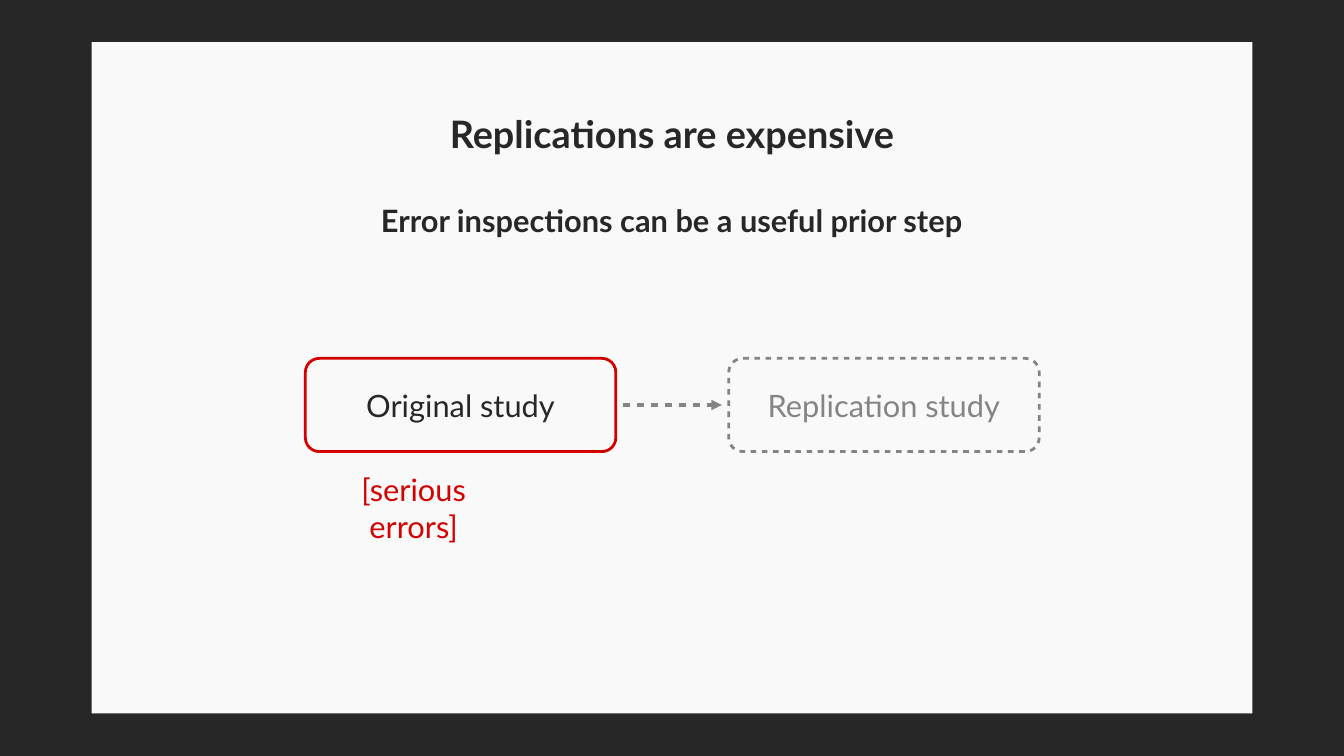
from dataclasses import dataclass

from lxml.etree import SubElement
from pptx import Presentation
from pptx.dml.color import RGBColor
from pptx.enum.shapes import MSO_CONNECTOR, MSO_SHAPE
from pptx.enum.text import MSO_ANCHOR, PP_ALIGN
from pptx.oxml.ns import qn
from pptx.util import Cm, Pt

DARK, PAPER, GREY, RED = "272727", "F9F9F9", "848484", "D30000"
SLIDE_W, SLIDE_H = 67.74, 38.1
BOX_W, BOX_H, BOX_TOP = 15.65, 4.7, 18.06


@dataclass
class Study:
    label: str
    left: float
    line: str
    color: str
    dashed: bool = False


STUDIES = [
    Study("Original study", 15.39, RED, DARK),
    Study("Replication study", 36.73, GREY, GREY, dashed=True),
]


def rgb(value: str) -> RGBColor:
    return RGBColor.from_string(value)


def add_text(tf, text: str, *, size=44, color=DARK, bold=False, before=0, new=False):
    """Write one centred paragraph, in the first one of the frame unless new."""
    p = tf.add_paragraph() if new else tf.paragraphs[0]
    p.alignment = PP_ALIGN.CENTER
    if before:
        p.space_before = Pt(before)
    r = p.add_run()
    r.text = text
    r.font.name, r.font.size, r.font.bold = "Lato", Pt(size), bold
    r.font.color.rgb = rgb(color)


def add_text_box(s, left: float, top: float, width: float, height: float):
    tf = s.shapes.add_textbox(Cm(left), Cm(top), Cm(width), Cm(height)).text_frame
    tf.word_wrap = True
    return tf


def set_line(sp, color: str, width: float, dashed: bool = False):
    """Style an outline; dashes and gaps are both two line widths long."""
    sp.line.color.rgb = rgb(color)
    sp.line.width = Pt(width)
    ln = sp.line._get_or_add_ln()
    if dashed:
        dash = SubElement(ln, qn("a:custDash"))
        SubElement(dash, qn("a:ds"), d="200000", sp="200000")
    return ln


def add_box(s, kind, left: float, top: float, width: float, height: float):
    sp = s.shapes.add_shape(kind, Cm(left), Cm(top), Cm(width), Cm(height))
    sp.shadow.inherit = False
    sp.fill.solid()
    sp.fill.fore_color.rgb = rgb(PAPER)
    sp.line.fill.background()
    return sp


def add_study(s, study: Study):
    sp = add_box(s, MSO_SHAPE.ROUNDED_RECTANGLE, study.left, BOX_TOP, BOX_W, BOX_H)
    sp.adjustments[0] = 0.15
    set_line(sp, study.line, 4, study.dashed)
    sp.text_frame.vertical_anchor = MSO_ANCHOR.MIDDLE
    add_text(sp.text_frame, study.label, color=study.color)


def add_arrow(s, start: float, end: float, y: float):
    cx = s.shapes.add_connector(MSO_CONNECTOR.STRAIGHT, Cm(start), Cm(y), Cm(end), Cm(y))
    ln = set_line(cx, GREY, 5, dashed=True)
    SubElement(ln, qn("a:tailEnd"), type="triangle")
    SubElement(cx._element.spPr, qn("a:effectLst"))


def main():
    prs = Presentation()
    prs.slide_width, prs.slide_height = Cm(SLIDE_W), Cm(SLIDE_H)
    s = prs.slides.add_slide(prs.slide_layouts[6])
    s.background.fill.solid()
    s.background.fill.fore_color.rgb = rgb(DARK)
    add_box(s, MSO_SHAPE.RECTANGLE, 4.62, 2.13, 58.5, 33.83)

    tf = add_text_box(s, 11.69, 5.44, 44.36, 7.5)
    add_text(tf, "Replications are expensive", size=54, bold=True)
    add_text(tf, "Error inspections can be a useful prior step", bold=True, before=65, new=True)

    for study in STUDIES:
        add_study(s, study)
    first, second = STUDIES
    add_arrow(s, first.left + BOX_W + 0.35, second.left - 0.35, BOX_TOP + BOX_H / 2)

    tf = add_text_box(s, 17.75, 23.6, 6.2, 4.2)
    add_text(tf, "[serious errors]", color="D30100")

    prs.save("out.pptx")


if __name__ == "__main__":
    main()
